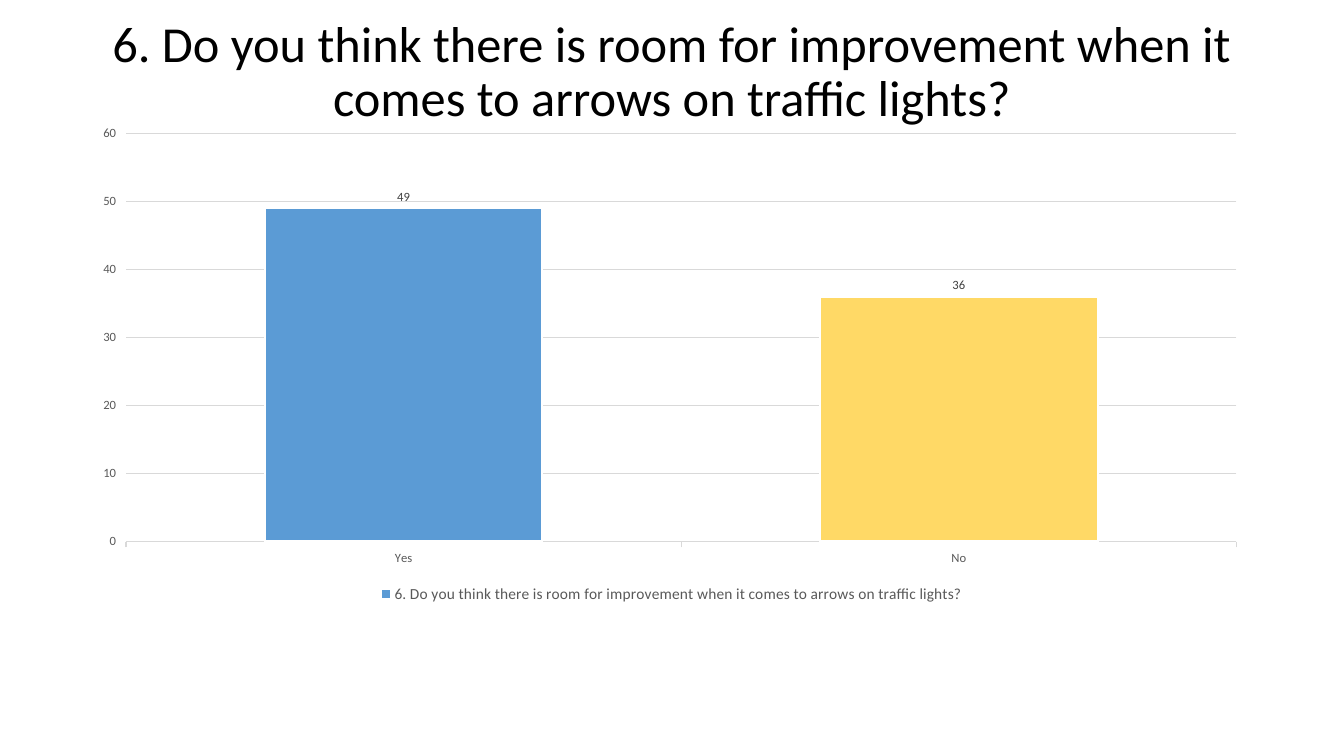
from pptx import Presentation
from pptx.chart.data import CategoryChartData
from pptx.dml.color import RGBColor
from pptx.enum.chart import XL_CHART_TYPE, XL_LABEL_POSITION, XL_LEGEND_POSITION, XL_TICK_MARK
from pptx.enum.text import MSO_ANCHOR, PP_ALIGN
from pptx.oxml import parse_xml
from pptx.oxml.ns import nsdecls, qn
from pptx.util import Pt

BLACK = RGBColor(0x00, 0x00, 0x00)
WHITE = RGBColor(0xFF, 0xFF, 0xFF)
GREY = RGBColor(0x59, 0x59, 0x59)
DARK_GREY = RGBColor(0x40, 0x40, 0x40)
PALE_GREY = RGBColor(0xD9, 0xD9, 0xD9)
BLUE = RGBColor(0x5B, 0x9B, 0xD5)
YELLOW = RGBColor(0xFF, 0xD9, 0x66)

QUESTION = "6. Do you think there is room for improvement when it comes to arrows on traffic lights?"
ANSWERS = {"Yes": 49, "No": 36}
PLOT_BOX = {"x": 0.029, "y": 0.015, "w": 0.958, "h": 0.848}


def set_all(target, values):
    """Set every attribute named in a dict."""
    for name, value in values.items():
        setattr(target, name, value)


def style_font(font, size, color):
    """Apply the deck's typeface with a size and colour."""
    set_all(font, {"name": "Calibri", "size": Pt(size)})
    font.color.rgb = color


def style_line(line, width, color):
    """Give a line its width and colour."""
    line.width = Pt(width)
    line.color.rgb = color


def style_bar(bar, color):
    """Fill a series or a single bar and outline it in white."""
    bar.format.fill.solid()
    bar.format.fill.fore_color.rgb = color
    style_line(bar.format.line, 1.5, WHITE)


def add_title(page, left, top, width, height):
    """Write the survey question centred in the given box."""
    box = page.shapes.add_textbox(Pt(left), Pt(top), Pt(width), Pt(height))
    set_all(box.text_frame, {"word_wrap": True, "vertical_anchor": MSO_ANCHOR.MIDDLE})
    para = box.text_frame.paragraphs[0]
    set_all(para, {"alignment": PP_ALIGN.CENTER, "line_spacing": 0.9})
    span = para.add_run()
    span.text = QUESTION
    style_font(span.font, 36, BLACK)


def place_plot(chart):
    """Fix the inner plot area as fractions of the chart."""
    sizes = "".join(f'<c:{key} val="{value}"/>' for key, value in PLOT_BOX.items())
    layout = parse_xml(
        f'<c:layout {nsdecls("c")}><c:manualLayout><c:layoutTarget val="inner"/>'
        f'<c:xMode val="edge"/><c:yMode val="edge"/>{sizes}</c:manualLayout></c:layout>'
    )
    plot_area = chart.plots[0]._element.getparent()
    for old in plot_area.findall(qn("c:layout")):
        plot_area.remove(old)
    plot_area.insert(0, layout)


def style_axes(chart):
    """Format both axes and the horizontal gridlines."""
    categories, values = chart.category_axis, chart.value_axis
    for axis in (categories, values):
        style_font(axis.tick_labels.font, 9, GREY)
        axis.major_tick_mark = XL_TICK_MARK.OUTSIDE
    style_line(categories.format.line, 0.75, PALE_GREY)
    values.format.line.fill.background()
    set_all(values, {"minimum_scale": 0, "maximum_scale": 60, "major_unit": 10})
    style_line(values.major_gridlines.format.line, 0.75, PALE_GREY)


def add_answers(page, left, top, width, height):
    """Chart the answers as columns in the given box."""
    data = CategoryChartData()
    data.categories = ANSWERS.keys()
    data.add_series(QUESTION, ANSWERS.values())
    chart = page.shapes.add_chart(
        XL_CHART_TYPE.COLUMN_CLUSTERED, Pt(left), Pt(top), Pt(width), Pt(height), data
    ).chart
    set_all(chart, {"has_title": False, "has_legend": True})
    style_font(chart.font, 10, BLACK)
    set_all(chart.legend, {"position": XL_LEGEND_POSITION.BOTTOM, "include_in_layout": False})
    style_font(chart.legend.font, 11, GREY)
    plot = chart.plots[0]
    set_all(plot, {"gap_width": 100, "vary_by_categories": False})
    series = plot.series[0]
    style_bar(series, BLUE)
    style_bar(series.points[1], YELLOW)
    labels = series.data_labels
    set_all(labels, {"show_value": True, "position": XL_LABEL_POSITION.OUTSIDE_END})
    style_font(labels.font, 9, DARK_GREY)
    style_axes(chart)
    place_plot(chart)


def main():
    """Build the survey slide and save it."""
    deck = Presentation()
    set_all(deck, {"slide_width": Pt(960), "slide_height": Pt(540)})
    page = deck.slides.add_slide(deck.slide_layouts[6])
    add_title(page, 66, 0, 828, 104.4)
    add_answers(page, 66, 90, 828, 344)
    deck.save("out.pptx")


if __name__ == "__main__":
    main()
